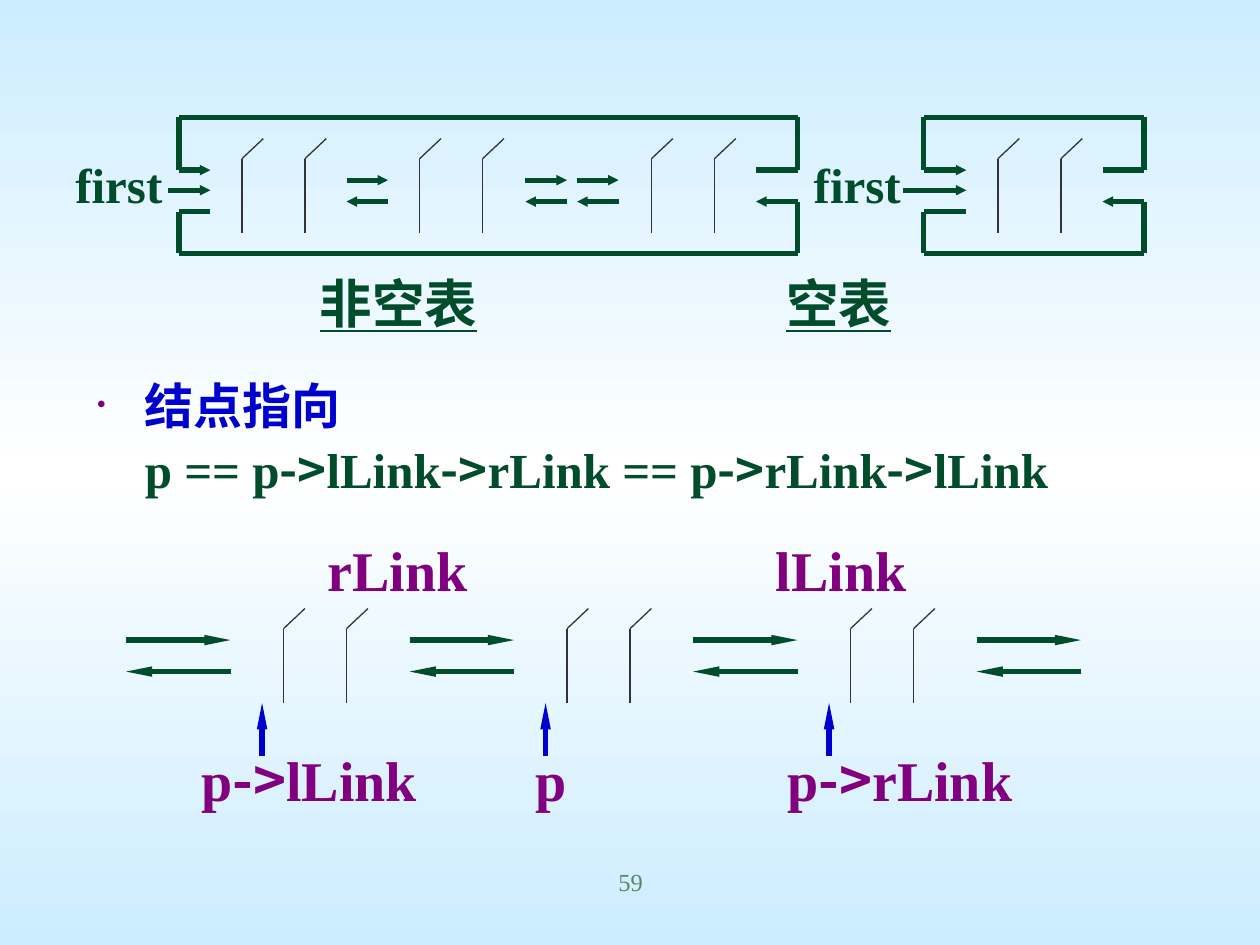
from copy import deepcopy

from lxml import etree
from pptx import Presentation
from pptx.dml.color import RGBColor
from pptx.enum.shapes import MSO_CONNECTOR as CONN
from pptx.enum.text import MSO_ANCHOR, MSO_AUTO_SIZE, PP_ALIGN
from pptx.oxml.ns import qn
from pptx.util import Inches, Pt

GREEN, BLUE, PURPLE, GRAY = "004C2B", "0000CC", "800080", "333333"
SERIF, SANS = "Times New Roman", "Noto Sans CJK SC"


def line(x1, y1, x2, y2, color=GREEN, width=3, head=None):
    """Draw a line; head is the length of an arrowhead at its end."""
    s = shapes.add_connector(CONN.STRAIGHT, Inches(x1), Inches(y1), Inches(x2), Inches(y2))
    s.line.color.rgb = RGBColor.from_string(color)
    s.line.width = Pt(width)
    if head:
        etree.SubElement(s.line._get_or_add_ln(), qn("a:tailEnd"), type="triangle", w="sm", len=head)
    etree.SubElement(s._element.spPr, qn("a:effectLst"))


def write(p, text, size, color, bold=True, font=SERIF):
    """Add text to a paragraph, with each -> in the sans font."""
    for i, part in enumerate(text.split("->")):
        for piece, face in (("->", SANS), (part, font))[0 if i else 1:]:
            r = p.add_run()
            r.text = piece
            r.font.size, r.font.bold, r.font.name = Pt(size), bold, face
            r.font.color.rgb = RGBColor.from_string(color)
            etree.SubElement(r._r.get_or_add_rPr(), qn("a:ea"), typeface=SANS)


prs = Presentation()
prs.slide_width, prs.slide_height = Inches(10), Inches(7.5)
slide = prs.slides.add_slide(prs.slide_layouts[1])
shapes = slide.shapes

# Background
fill = slide.background.fill
fill.gradient()
fill.gradient_angle = 90
first_stop = fill.gradient_stops[0]._gs
first_stop.addnext(deepcopy(first_stop))
for stop, color, position in zip(fill.gradient_stops, ("CCECFF", "FFFFFF", "CCECFF"), (0, 0.5, 1)):
    stop.color.rgb = RGBColor.from_string(color)
    stop.position = position

# Pointer identity
title = shapes.title
title._element.getparent().remove(title._element)
body = slide.placeholders[1]
body.left, body.top, body.width, body.height = Inches(0.67), Inches(2.88), Inches(9), Inches(1.33)
tf = body.text_frame
tf.auto_size, tf.vertical_anchor = MSO_AUTO_SIZE.NONE, MSO_ANCHOR.TOP
p = tf.paragraphs[0]
p.line_spacing, p.space_before = 1.1, Pt(0)
pPr = p._p.get_or_add_pPr()
pPr.set("marL", str(Inches(0.38)))
pPr.set("indent", str(-Inches(0.38)))
bullet_color = etree.SubElement(pPr, qn("a:buClr"))
etree.SubElement(bullet_color, qn("a:srgbClr"), val=PURPLE)
etree.SubElement(pPr, qn("a:buSzPct"), val="50000")
etree.SubElement(pPr, qn("a:buChar"), char="•")
write(p, "结点指向", 28, BLUE)
p.add_line_break()
write(p, "p == p->lLink->rLink == p->rRLink->lLink".replace("rRLink", "rLink"), 28, GREEN)

# Node dividers: a slanted line on top of each upright
for top, lefts in ((1.1, (1.92, 3.33, 5.17, 7.92)), (4.83, (2.25, 4.5, 6.75))):
    for left in lefts:
        for x in (left, left + 0.5):
            line(x, top + 0.16, x, top + 0.75, GRAY, 0.75)
            line(x, top + 0.16, x + 0.17, top, GRAY, 0.75)

# Circular lists: outer loop and the arrow from first
for left, right, entry, first in ((1.42, 6.33, 1.67, 1.33), (7.33, 9.08, 7.67, 7.17)):
    line(left, 0.93, right, 0.93)
    line(left, 2.01, right, 2.01)
    line(left, 0.93, left, 1.35)
    line(left, 1.68, left, 2.01)
    line(right, 0.93, right, 1.35)
    line(right, 1.6, right, 2.01)
    line(left, 1.35, entry, 1.35, head="sm")
    line(entry, 1.68, left, 1.68)
    line(right, 1.35, right - 0.33, 1.35)
    line(right, 1.6, right - 0.33, 1.6, head="sm")
    line(first, 1.51, entry, 1.51, head="sm")

# Links between neighbouring nodes
for x in (2.75, 4.17, 4.58):
    line(x, 1.43, x + 0.33, 1.43, head="sm")
    line(x + 0.33, 1.6, x, 1.6, head="sm")
for i in range(4):
    x = 1 + 2.25 * i
    line(x, 5.08, x + 0.83, 5.08, head="lg")
    line(x + 0.83, 5.33, x, 5.33, head="lg")
for x in (2.08, 4.33, 6.58):
    line(x, 6, x, 5.58, BLUE, head="lg")

# Labels
for text, x, y, w, h, size, color in (
    ("first", 0.5, 1.18, 0.89, 0.57, 28, GREEN),
    ("first", 6.36, 1.18, 0.89, 0.57, 28, GREEN),
    ("非空表", 2.44, 2.1, 1.45, 0.6, 30, GREEN),
    ("空表", 6.14, 2.1, 1.03, 0.6, 30, GREEN),
    ("rLink", 2.5, 4.2, 1.31, 0.63, 32, PURPLE),
    ("lLink", 6.06, 4.2, 1.24, 0.63, 32, PURPLE),
    ("p->lLink", 1.5, 5.87, 1.93, 0.63, 32, PURPLE),
    ("p", 4.15, 5.87, 0.45, 0.63, 32, PURPLE),
    ("p->rLink", 6.15, 5.87, 2.27, 0.63, 32, PURPLE),
    ("59", 3.42, 6.83, 3.17, 0.5, 14, "578963"),
):
    tf = shapes.add_textbox(Inches(x), Inches(y), Inches(w), Inches(h)).text_frame
    tf.word_wrap = text == "59"
    p = tf.paragraphs[0]
    if text == "59":
        p.alignment = PP_ALIGN.CENTER
    caption = text.endswith("空表")
    write(p, text, size, color, text != "59", SANS if caption else SERIF)
    if caption:
        p.runs[0].font.underline = True

prs.save("out.pptx")
